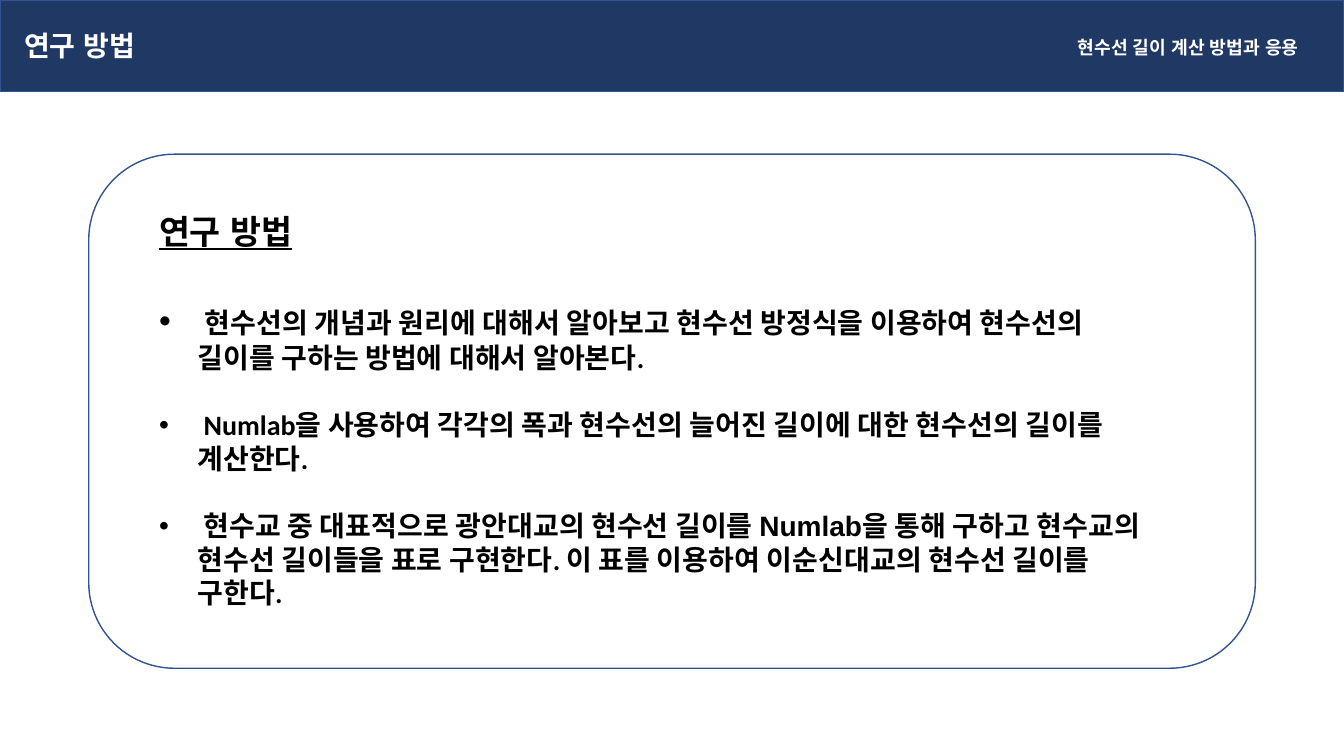
from dataclasses import dataclass
from pptx import Presentation
from pptx import util as u
from pptx.dml.color import RGBColor
from pptx.enum import lang, shapes, text
from pptx.oxml import ns, xmlchemy

INK = {"navy": "203864", "edge": "325491", "white": "FFFFFF", "black": "000000"}
KOR = "Noto Sans CJK KR"
WIDE, HIGH = u.Inches(13.33), u.Inches(7.5)
INDENT = u.Inches(0.38)


@dataclass(frozen=True)
class Box:
    """Place and size in percent of the slide."""
    x: float
    y: float
    w: float
    h: float

    def emu(self) -> tuple[int, int, int, int]:
        return (round(WIDE * self.x / 100), round(HIGH * self.y / 100),
                round(WIDE * self.w / 100), round(HIGH * self.h / 100))


@dataclass(frozen=True)
class Run:
    words: str
    face: str = "Calibri"
    size: float = 20
    bold: bool = True


@dataclass(frozen=True)
class Label:
    box: Box
    words: str
    size: float
    ink: str
    under: bool = False


CARD = Box(6.6, 20.4, 86.8, 68)
BAR = Box(0, 0, 100, 12.1)
BODY = Box(11.1, 39.07, 76.2, 42.67)
LABELS = [
    Label(Box(79.44, 4.13, 20.56, 4.27), "현수선 길이 계산 방법과 응용", 13, "white"),
    Label(Box(11.1, 27.2, 22.8, 6.67), "연구 방법", 24, "black", under=True),
]
POINTS = [
    [Run(" ", size=24, bold=False),
     Run("현수선의 개념과 원리에 대해서 알아보고 현수선 방정식을 이용하여 "
         "현수선의 길이를 구하는 방법에 대해서 알아본다.")],
    [Run(" Numlab을 사용하여 각각의 폭과 현수선의 늘어진 길이에 대한 "
         "현수선의 길이를 계산한다.")],
    [Run(" 현수교 중 대표적으로 광안대교의 현수선 길이를 "),
     Run("Numlab", face="Arial"),
     Run("을 통해 구하고 현수교의 현수선 길이들을 표로 구현한다. "
         "이 표를 이용하여 이순신대교의 현수선 길이를 구한다.")],
]


def write(para, words: str, *, size: float, ink: str, face: str = KOR,
          bold: bool = True, under: bool = False) -> None:
    run = para.add_run()
    run.text = words
    font = run.font
    font.name, font.size, font.bold = face, u.Pt(size), bold
    font.underline = under
    font.language_id = lang.MSO_LANGUAGE_ID.KOREAN
    font.color.rgb = RGBColor.from_string(INK[ink])
    # East Asian letters use the same face
    asian = xmlchemy.OxmlElement("a:ea")
    asian.set("typeface", face)
    run._r.get_or_add_rPr().find(ns.qn("a:latin")).addnext(asian)


def frame(slide, box: Box):
    area = slide.shapes.add_textbox(*box.emu()).text_frame
    area.word_wrap = True
    return area


def edge(shape) -> None:
    shape.line.color.rgb = RGBColor.from_string(INK["edge"])
    shape.line.width = u.Pt(1)


def bullet(para) -> None:
    props = para._p.get_or_add_pPr()
    props.set("marL", str(INDENT))
    props.set("indent", str(-INDENT))
    for tag, key, value in (("a:buFont", "typeface", "Arial"),
                            ("a:buChar", "char", "•")):
        part = xmlchemy.OxmlElement(tag)
        part.set(key, value)
        props.append(part)


def title(slide, words: str) -> None:
    bar = slide.shapes.title
    bar.left, bar.top, bar.width, bar.height = BAR.emu()
    bar.fill.solid()
    bar.fill.fore_color.rgb = RGBColor.from_string(INK["navy"])
    edge(bar)
    area = bar.text_frame
    area.auto_size = text.MSO_AUTO_SIZE.NONE
    area.vertical_anchor = text.MSO_ANCHOR.MIDDLE
    area.margin_left = u.Inches(0.24)
    para = area.paragraphs[0]
    para.alignment = text.PP_ALIGN.LEFT
    write(para, words, size=20, ink="white")


def card(slide) -> None:
    kind = shapes.MSO_SHAPE.FLOWCHART_ALTERNATE_PROCESS
    shape = slide.shapes.add_shape(kind, *CARD.emu())
    shape.shadow.inherit = False
    shape.fill.background()
    edge(shape)


def points(slide) -> None:
    area = frame(slide, BODY)
    for i, runs in enumerate(POINTS):
        para = area.add_paragraph() if i else area.paragraphs[0]
        bullet(para)
        if i:
            para.space_before = u.Pt(24)
        for run in runs:
            write(para, run.words, size=run.size, ink="black",
                  face=run.face, bold=run.bold)


def main() -> None:
    deck = Presentation()
    deck.slide_width, deck.slide_height = WIDE, HIGH
    slide = deck.slides.add_slide(deck.slide_layouts.get_by_name("Title Only"))

    # Header bar and card
    title(slide, "연구 방법")
    card(slide)

    # Topic and heading
    for item in LABELS:
        write(frame(slide, item.box).paragraphs[0], item.words,
              size=item.size, ink=item.ink, under=item.under)

    # Method list
    points(slide)
    deck.save("out.pptx")


if __name__ == "__main__":
    main()
